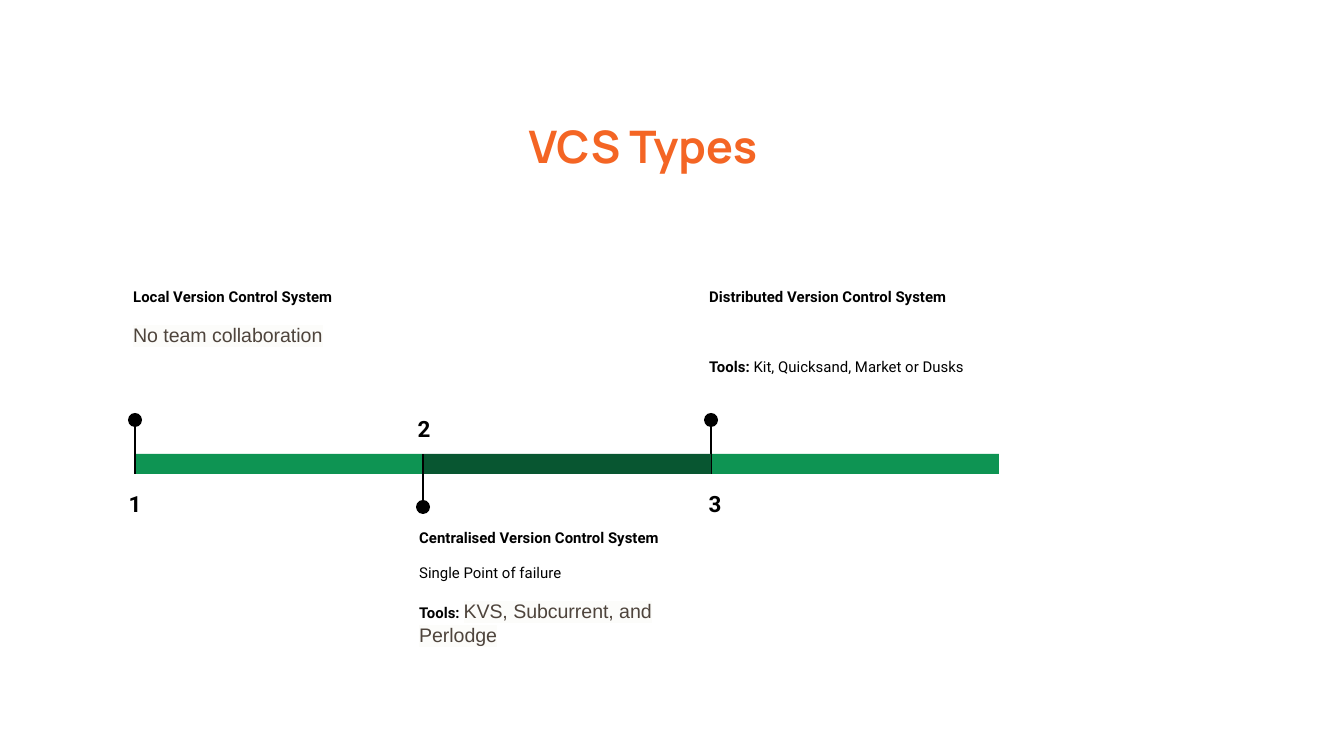
"""Build a slide with a three-stage timeline of version control system types."""
from lxml.etree import SubElement
from pptx import Presentation
from pptx.dml.color import RGBColor
from pptx.enum.shapes import MSO_CONNECTOR as Connector, MSO_SHAPE as Shape
from pptx.enum.text import MSO_ANCHOR as Anchor, PP_ALIGN as Align
from pptx.oxml.ns import qn
from pptx.util import Pt

SCALE = 914400 / 134.4
TITLE = "VCS Types"
BLACK, ORANGE, GREEN, DARK_GREEN = "000000", "F46524", "0E9453", "085631"
HEADING = dict(size=8, name="Roboto", color=BLACK, bold=True)
PLAIN = dict(HEADING, bold=False)
NOTE = dict(size=10.5, name="Arial", color="4E443C", bold=False, highlight="FCFCFA")
NUMBER = dict(HEADING, size=12)
HEADLINE = dict(size=24, name="Manrope", color=ORANGE, bold=True)

# Each paragraph is (space before in points, [(text, style), ...]).
STAGES = [
    dict(number=3, above=True, color=GREEN, number_shift=4, text_left=696, paragraphs=[
        (0, [("Distributed Version Control System", HEADING)]),
        (28, [("Tools: ", HEADING), ("Kit, Quicksand, Market or Dusks", PLAIN)])]),
    dict(number=1, above=True, color=GREEN, number_shift=0, text_left=120, paragraphs=[
        (0, [("Local Version Control System", HEADING)]),
        (9.4, [("No team collaboration", NOTE)])]),
    dict(number=2, above=False, color=DARK_GREEN, number_shift=1, text_left=406, paragraphs=[
        (0, [("Centralised Version Control System", HEADING)]),
        (9.4, [("Single Point of failure", PLAIN)]),
        (9.4, [("Tools: ", HEADING), ("KVS, Subcurrent, and Perlodge", NOTE)])]),
]

BAR_LEFT, BAR_TOP, BAR_WIDTH, BAR_HEIGHT = 135, 454, 288, 20
DOT, STEM = 14, 53
NUMBER_WIDTH, NUMBER_HEIGHT = 110, 55
TEXT_WIDTH, TEXT_HEIGHT = 331, 138


def px(*lengths):
    return [round(length * SCALE) for length in lengths]


def rgb(color):
    return RGBColor.from_string(color)


def write(frame, paragraphs, align=Align.LEFT, spacing=1.0):
    frame.word_wrap = True
    frame.vertical_anchor = Anchor.TOP
    (frame.margin_left, frame.margin_top,
     frame.margin_right, frame.margin_bottom) = [Pt(7.2)] * 4
    for index, (before, spans) in enumerate(paragraphs):
        para = frame.paragraphs[0] if index == 0 else frame.add_paragraph()
        para.alignment, para.line_spacing = align, spacing
        para.space_before, para.space_after = Pt(before), Pt(0)
        for text, style in spans:
            span = para.add_run()
            span.text = text
            font = span.font
            font.size, font.bold = Pt(style["size"]), style["bold"]
            font.color.rgb = rgb(style["color"])
            if "highlight" in style:
                mark = SubElement(span._r.get_or_add_rPr(), qn("a:highlight"))
                SubElement(mark, qn("a:srgbClr"), val=style["highlight"])
            font.name = style["name"]


def add_solid(shapes, kind, color, *place):
    shape = shapes.add_shape(kind, *px(*place))
    shape.shadow.inherit = False
    shape.fill.solid()
    shape.fill.fore_color.rgb = rgb(color)
    shape.line.fill.background()


def add_stem(shapes, x, start, end):
    stem = shapes.add_connector(Connector.STRAIGHT, *px(x, start, x, end))
    stem.line.color.rgb = rgb(BLACK)
    stem.line.width = Pt(0.75)
    SubElement(stem._element.spPr, qn("a:effectLst"))


def add_stage(slide, stage):
    shapes = slide.shapes.add_group_shape().shapes
    x = BAR_LEFT + (stage["number"] - 1) * BAR_WIDTH
    bar_bottom = BAR_TOP + BAR_HEIGHT
    if stage["above"]:
        start, end = bar_bottom - STEM, bar_bottom
        dot_top, number_top, text_top = 413, 473, 274
    else:
        start, end = BAR_TOP + STEM, BAR_TOP
        dot_top, number_top, text_top = 500, 398, 515
    add_solid(shapes, Shape.RECTANGLE, stage["color"], x, BAR_TOP, BAR_WIDTH, BAR_HEIGHT)
    add_stem(shapes, x, start, end)
    add_solid(shapes, Shape.OVAL, BLACK, x - DOT / 2, dot_top, DOT, DOT)
    number_left = x + stage["number_shift"] - NUMBER_WIDTH / 2
    box = shapes.add_textbox(*px(number_left, number_top, NUMBER_WIDTH, NUMBER_HEIGHT))
    write(box.text_frame, [(0, [(str(stage["number"]), NUMBER)])], Align.CENTER, 1.15)
    box = shapes.add_textbox(*px(stage["text_left"], text_top, TEXT_WIDTH, TEXT_HEIGHT))
    write(box.text_frame, stage["paragraphs"])


def main():
    deck = Presentation()
    deck.slide_width, deck.slide_height = px(1344, 756)
    slide = deck.slides.add_slide(deck.slide_layouts[5])
    title = slide.shapes.title
    title.left, title.top, title.width, title.height = px(79, 105, 1128, 113)
    write(title.text_frame, [(0, [(TITLE, HEADLINE)])], Align.CENTER)
    for stage in STAGES:
        add_stage(slide, stage)
    deck.save("out.pptx")


if __name__ == "__main__":
    main()
